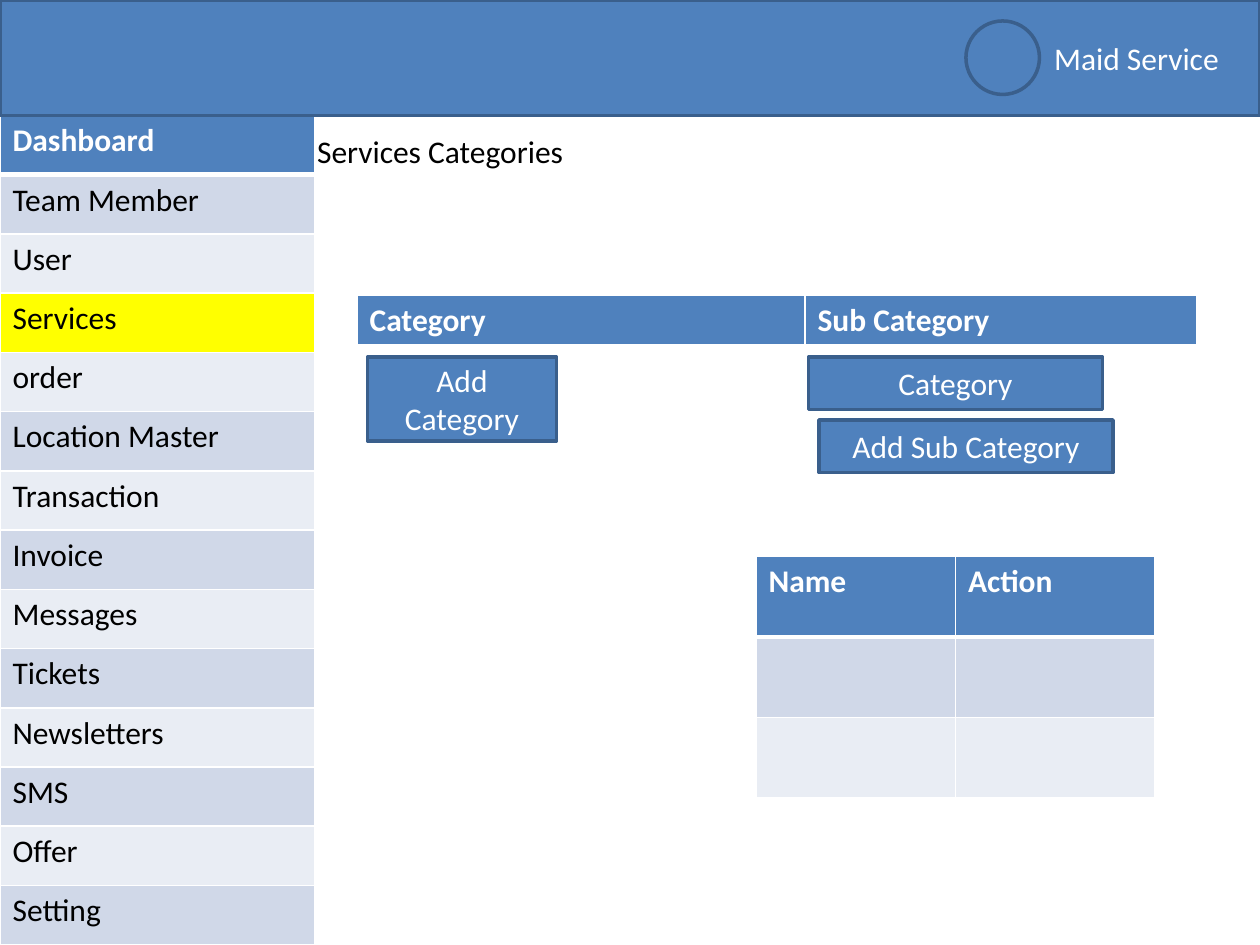
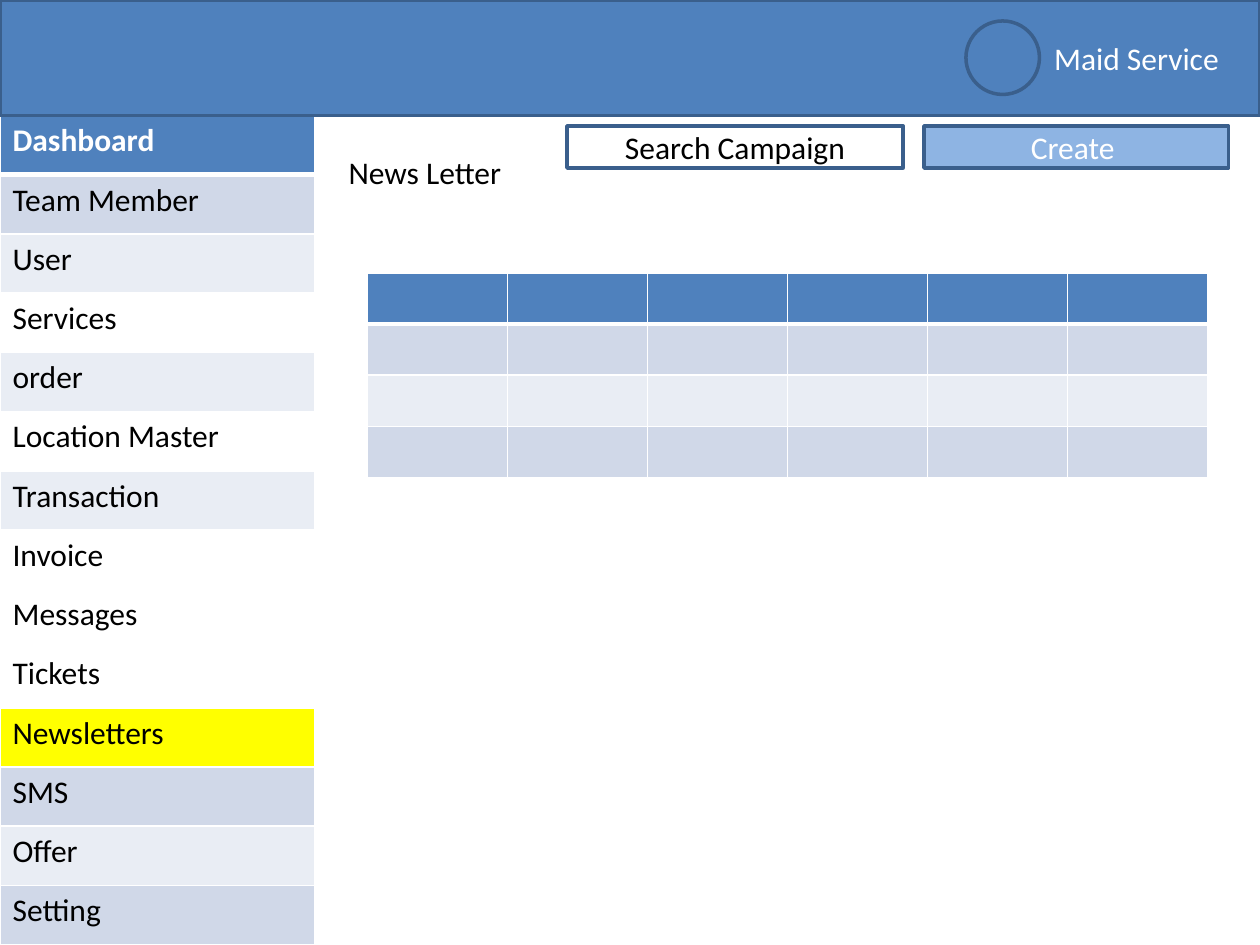
from dataclasses import dataclass

from lxml.etree import SubElement
from pptx import Presentation
from pptx.dml.color import RGBColor
from pptx.enum.shapes import MSO_SHAPE
from pptx.enum.text import MSO_ANCHOR, MSO_AUTO_SIZE, PP_ALIGN
from pptx.oxml.ns import qn
from pptx.presentation import Presentation as Deck
from pptx.shapes.autoshape import Shape
from pptx.slide import Slide
from pptx.table import _Cell as Cell
from pptx.text.text import TextFrame
from pptx.util import Pt

FONT = "Calibri"
TEXT_SIZE = 18
WHITE, BLACK = "FFFFFF", "000000"
BLUE, OUTLINE, LIGHT_BLUE = "4F81BD", "3A5F8C", "8EB4E3"
DARK_BAND, LIGHT_BAND, HIGHLIGHT = "D0D8E8", "E9EDF4", "FFFF00"
SLIDE_WIDTH, SLIDE_HEIGHT = 720, 540
BANNER_HEIGHT, SIDEBAR_WIDTH = 66, 180
MENU = ["Dashboard", "Team Member", "User", "Services ", "order", "Location Master",
        "Transaction", "Invoice", "Messages", "Tickets", "Newsletters", "SMS", "Offer",
        "Setting"]


@dataclass(frozen=True)
class Box:
    """A rectangle in points."""
    left: float
    top: float
    width: float
    height: float

    def lengths(self) -> tuple[Pt, Pt, Pt, Pt]:
        """Return the position and size as lengths."""
        return Pt(self.left), Pt(self.top), Pt(self.width), Pt(self.height)


@dataclass(frozen=True)
class Button:
    """A labelled rectangle."""
    label: str
    box: Box
    fill: str | None = BLUE
    text_color: str = WHITE


@dataclass(frozen=True)
class Grid:
    """A table with a header row and banded rows below it."""
    rows: list[list[str]]
    box: Box
    widths: list[float]


@dataclass(frozen=True)
class Screen:
    """One page of the admin panel."""
    title: str
    title_box: Box
    title_wraps: bool
    active: str
    unfilled: frozenset[str]
    buttons: list[Button]
    grids: list[Grid]


def color(value: str) -> RGBColor:
    """Turn a hex string into a colour."""
    return RGBColor.from_string(value)


def write(frame: TextFrame, text: str, text_color: str, bold: bool = False,
          alignment: PP_ALIGN = PP_ALIGN.LEFT) -> None:
    """Put one formatted paragraph in a text frame."""
    frame.text = text
    paragraph = frame.paragraphs[0]
    paragraph.alignment = alignment
    font = paragraph.font
    font.name, font.size, font.bold = FONT, Pt(TEXT_SIZE), bold
    font.color.rgb = color(text_color)


def add_panel(slide: Slide, kind: MSO_SHAPE, box: Box, fill: str | None = BLUE) -> Shape:
    """Draw an outlined shape without a shadow."""
    shape = slide.shapes.add_shape(kind, *box.lengths())
    shape.shadow.inherit = False
    if fill:
        shape.fill.solid()
        shape.fill.fore_color.rgb = color(fill)
    else:
        shape.fill.background()
    shape.line.color.rgb = color(OUTLINE)
    shape.line.width = Pt(2)
    return shape


def set_borders(cell: Cell, top: float, bottom: float) -> None:
    """Give a cell white borders."""
    properties = cell._tc.get_or_add_tcPr()
    for side, width in (("L", 1), ("R", 1), ("T", top), ("B", bottom)):
        line = SubElement(properties, qn(f"a:ln{side}"), w=str(Pt(width)))
        fill = SubElement(line, qn("a:solidFill"))
        SubElement(fill, qn("a:srgbClr"), val=WHITE)


def band_color(row: int) -> str:
    """Return the fill of a table row."""
    if row == 0:
        return BLUE
    return DARK_BAND if row % 2 else LIGHT_BAND


def add_grid(slide: Slide, grid: Grid, fills: dict[int, str | None] | None = None) -> None:
    """Draw a banded table, with other fills for chosen rows."""
    row_count = len(grid.rows)
    table = slide.shapes.add_table(row_count, len(grid.widths), *grid.box.lengths()).table
    for column, width in zip(table.columns, grid.widths):
        column.width = Pt(width)
    for row_index, texts in enumerate(grid.rows):
        table.rows[row_index].height = Pt(grid.box.height / row_count)
        is_header = row_index == 0
        fill = (fills or {}).get(row_index, band_color(row_index))
        for column_index, text in enumerate(texts):
            cell = table.cell(row_index, column_index)
            set_borders(cell, 3 if row_index == 1 else 1, 3 if is_header else 1)
            if fill:
                cell.fill.solid()
                cell.fill.fore_color.rgb = color(fill)
            else:
                cell.fill.background()
            write(cell.text_frame, text, WHITE if is_header else BLACK, is_header)


def add_sidebar(slide: Slide, screen: Screen) -> None:
    """Draw the menu with the active entry highlighted."""
    fills = {MENU.index(entry): None for entry in screen.unfilled}
    fills[MENU.index(screen.active)] = HIGHLIGHT
    box = Box(0, BANNER_HEIGHT, SIDEBAR_WIDTH, SLIDE_HEIGHT - BANNER_HEIGHT)
    add_grid(slide, Grid([[entry] for entry in MENU], box, [SIDEBAR_WIDTH]), fills)


def add_banner(slide: Slide) -> None:
    """Draw the top band with the service name and its round badge."""
    banner = add_panel(slide, MSO_SHAPE.RECTANGLE, Box(0, 0, SLIDE_WIDTH, BANNER_HEIGHT))
    banner.text_frame.margin_right = Pt(23.4)
    banner.text_frame.vertical_anchor = MSO_ANCHOR.MIDDLE
    write(banner.text_frame, "Maid Service", WHITE, alignment=PP_ALIGN.RIGHT)
    add_panel(slide, MSO_SHAPE.OVAL, Box(552, 12, 42, 42))


def add_button(slide: Slide, button: Button) -> None:
    """Draw a button with a centred label."""
    shape = add_panel(slide, MSO_SHAPE.RECTANGLE, button.box, button.fill)
    shape.text_frame.vertical_anchor = MSO_ANCHOR.MIDDLE
    write(shape.text_frame, button.label, button.text_color, alignment=PP_ALIGN.CENTER)


def place_title(slide: Slide, screen: Screen) -> None:
    """Move and format the title placeholder."""
    title = slide.shapes.title
    title.left, title.top, title.width, title.height = screen.title_box.lengths()
    frame = title.text_frame
    frame.auto_size = MSO_AUTO_SIZE.NONE
    frame.word_wrap = screen.title_wraps
    frame.vertical_anchor = MSO_ANCHOR.TOP
    write(frame, screen.title, BLACK)


def add_screen(presentation: Deck, screen: Screen) -> None:
    """Add one slide for a screen."""
    slide = presentation.slides.add_slide(presentation.slide_layouts[5])
    add_sidebar(slide, screen)
    add_banner(slide)
    place_title(slide, screen)
    for grid in screen.grids:
        add_grid(slide, grid)
    for button in screen.buttons:
        add_button(slide, button)


SCREENS = [
    Screen(
        "Services Categories", Box(174, 72, 192, 29), True, "Services ", frozenset(),
        [Button("Add Category", Box(210, 204, 108, 48)),
         Button("Category", Box(462, 204, 168, 30)),
         Button("Add Sub Category", Box(468, 240, 168, 30))],
        [Grid([["Category", "Sub Category"]], Box(204, 168.5, 480, 29.2), [256, 224]),
         Grid([["Name", "Action"], ["", ""], ["", ""]], Box(432, 318, 228, 138), [114] * 2)],
    ),
    Screen(
        "News Letter", Box(192, 84, 103, 29), False, "Newsletters",
        frozenset({"Services ", "Location Master", "Invoice", "Messages", "Tickets"}),
        [Button("Create ", Box(528, 72, 174, 24), LIGHT_BLUE),
         Button("Search Campaign", Box(324, 72, 192, 24), None, BLACK)],
        [Grid([[""] * 6 for _ in range(4)], Box(210, 156, 480, 116.8), [80] * 6)],
    ),
]


def main() -> None:
    """Build and save the presentation."""
    presentation = Presentation()
    presentation.slide_width, presentation.slide_height = Pt(SLIDE_WIDTH), Pt(SLIDE_HEIGHT)
    for screen in SCREENS:
        add_screen(presentation, screen)
    presentation.save("out.pptx")


main()
